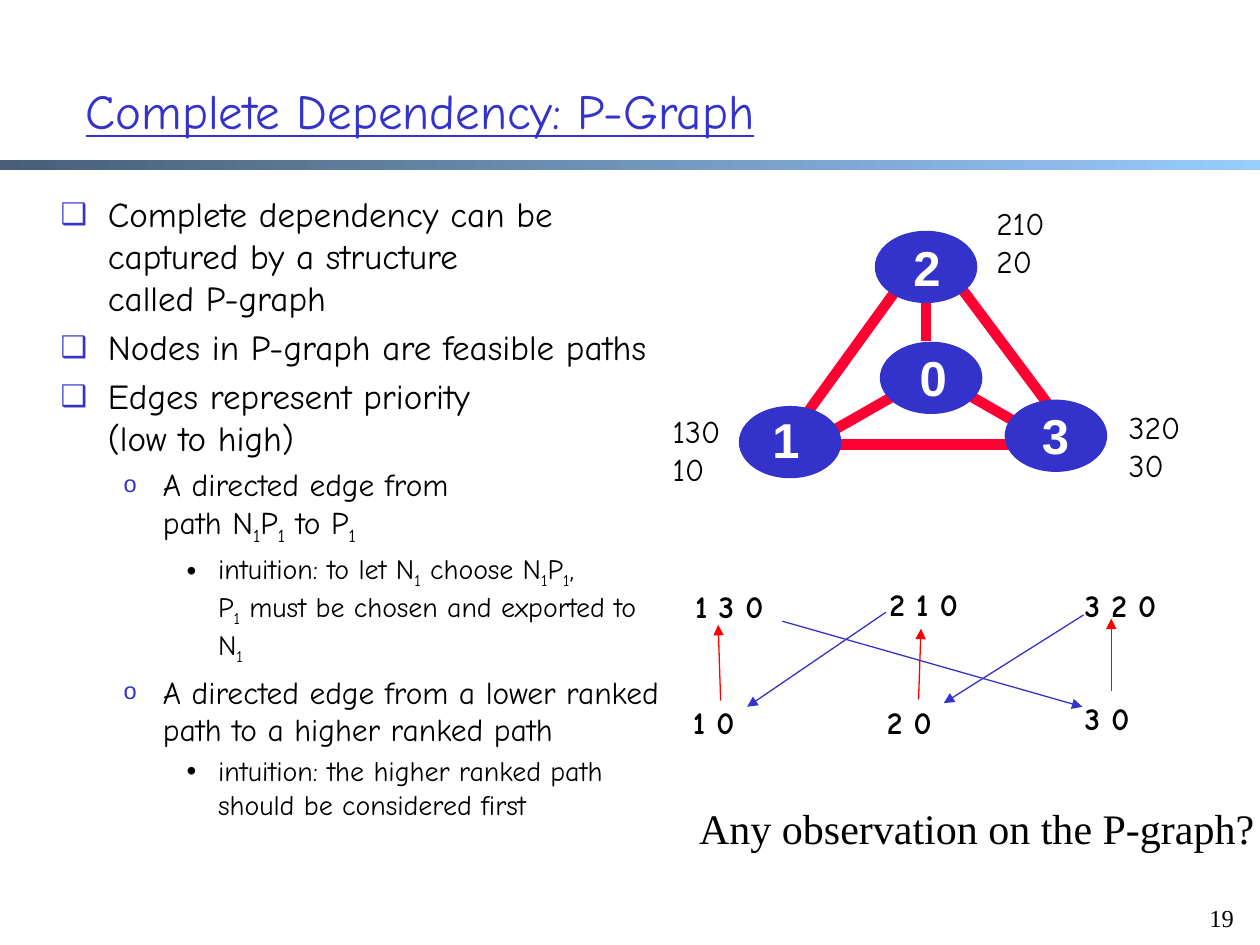
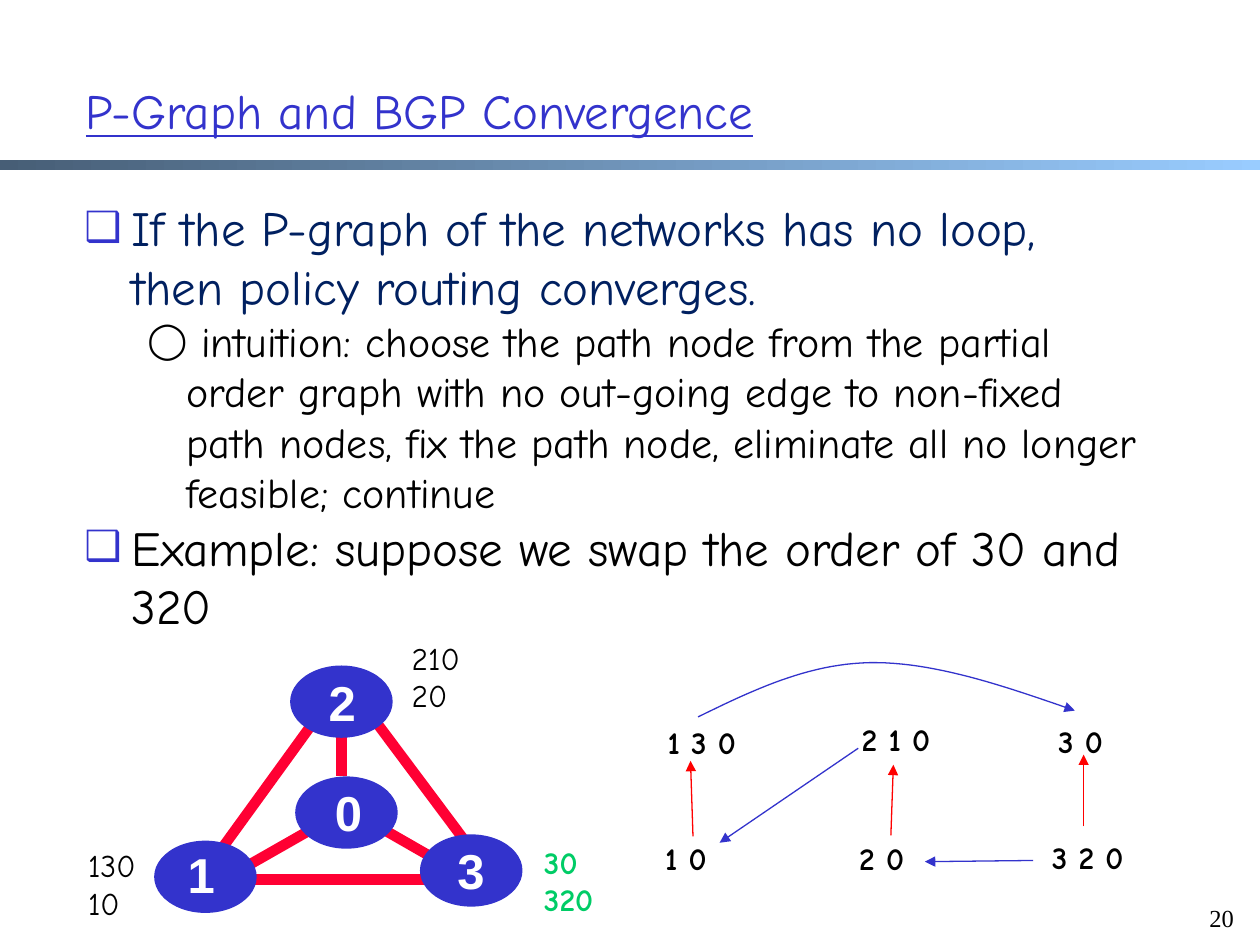
import lxml.etree as etree
import pptx
import pptx.dml.color
import pptx.enum.dml
import pptx.enum.shapes
import pptx.enum.text
import pptx.oxml.ns
import pptx.util

Pt = pptx.util.Pt
qn = pptx.oxml.ns.qn

COLORS = {
    "blue": "3333CC",
    "navy": "002060",
    "black": "000000",
    "white": "FFFFFF",
    "green": "00CC66",
    "arrow_red": "FF0000",
    "link_red": "FF0033",
    "band_start": "475E76",
    "band_end": "99CCFF",
}
HAND, SANS, SERIF = "Comic Neue", "Arial", "Times New Roman"
INDENTS = [(27, -27), (58.5, -22.5), (90, -18)]
SQUARE = ("❑", "blue", 85)
SMALL_O = ("o", "blue", 75)
CIRCLE = ("◯", None, 85)
DOT = ("•", None, 100)

NODE_SIZE = (57.6, 40.3)
NODES = {
    "2": ((123.1, 19.4), (14.4, 0)),
    "0": ((126, 82.8), (15.1, -0.7)),
    "3": ((197.3, 115.9), (13.7, -0.7)),
    "1": ((45.4, 119.5), (11.5, -2.1)),
}
NETWORK_LINKS = [
    ((236.2, 137.5), (162, 38.2)),
    ((145.4, 38.2), (67.7, 145.4)),
    ((151.9, 26.6), (151.9, 82.1)),
    ((149, 104.4), (97.2, 133.9)),
    ((213.1, 133.9), (174.2, 111.6)),
    ((242.6, 141.1), (67.7, 141.1)),
]
PATHS = {"2 1 0": (112.3, 0), "2 0": (110.9, 67.7), "1 0": (0, 67.7), "1 3 0": (1.4, 1.4)}
RANK_ARROWS = [
    ((23, 69.8), (21.6, 26.6)),
    ((136.1, 69.1), (137.5, 28.8)),
    ((246.2, 64.1), (246.2, 23)),
]
SUFFIX_ARROW = ((117.4, 19.4), (38.2, 73.4))


def shifted(origin, point):
    """Move a point by an origin."""
    return origin[0] + point[0], origin[1] + point[1]


def bezier(points, steps=24):
    """List points along a cubic curve, leaving out its start."""
    result = []
    for step in range(1, steps + 1):
        t = step / steps
        weights = ((1 - t) ** 3, 3 * t * (1 - t) ** 2, 3 * t * t * (1 - t), t ** 3)
        result.append(tuple(sum(w * p[axis] for w, p in zip(weights, points)) for axis in (0, 1)))
    return result


class Deck:
    """Holds the presentation style and the current slide."""

    def __init__(self):
        """Open an empty 4:3 presentation."""
        self.presentation = pptx.Presentation()
        self.presentation.slide_width = Pt(720)
        self.presentation.slide_height = Pt(540)
        self.slide = None

    def color(self, name):
        """Look up a named colour."""
        return pptx.dml.color.RGBColor.from_string(COLORS[name])

    def start_slide(self, title, number):
        """Add a slide with its title, band and page number."""
        self.slide = self.presentation.slides.add_slide(self.presentation.slide_layouts[1])
        self.band()
        shape = self.slide.shapes.title
        self.place(shape, (41.8, 18), (632, 90))
        shape.text_frame.vertical_anchor = pptx.enum.text.MSO_ANCHOR.MIDDLE
        paragraph = shape.text_frame.paragraphs[0]
        paragraph.alignment = pptx.enum.text.PP_ALIGN.LEFT
        self.run(paragraph, title, 28, color="blue").underline = True
        self.text([number], (684, 512.6), (36, 36), 14, SERIF, wrap=True)

    def place(self, shape, position, size):
        """Set the box of a placeholder and stop its text from shrinking."""
        shape.left, shape.top = map(Pt, position)
        shape.width, shape.height = map(Pt, size)
        shape.text_frame.auto_size = pptx.enum.text.MSO_AUTO_SIZE.NONE

    def band(self):
        """Draw the gradient band below the title."""
        shape = self.slide.shapes.add_shape(
            pptx.enum.shapes.MSO_SHAPE.RECTANGLE, 0, Pt(91.4), Pt(720), Pt(5.8))
        shape.shadow.inherit = False
        shape.line.fill.background()
        shape.fill.gradient()
        shape.fill.gradient_angle = 0
        for stop, name in zip(shape.fill.gradient_stops, ("band_start", "band_end")):
            stop.color.rgb = self.color(name)

    def run(self, paragraph, text, size, font=HAND, color="black", bold=False):
        """Add one formatted run and return its font."""
        run = paragraph.add_run()
        run.text = text
        run.font.size = Pt(size)
        run.font.name = font
        run.font.bold = bold
        run.font.color.rgb = self.color(color)
        return run.font

    def rich_text(self, paragraph, text, size, color):
        """Add runs with line breaks, and subscripts between underscores."""
        for index, part in enumerate(text.split("_")):
            for row, line in enumerate(part.split("\n")):
                if row:
                    paragraph.add_line_break()
                    line_break = paragraph._p.findall(qn("a:br"))[-1]
                    etree.SubElement(line_break, qn("a:rPr"), sz=str(size * 100))
                if line:
                    self.run(paragraph, line, size, color=color)
                    if index % 2:
                        paragraph.runs[-1]._r.get_or_add_rPr().set("baseline", "-25000")

    def bullet(self, paragraph, level, bullet):
        """Give a paragraph its indents and bullet."""
        character, color, percent = bullet
        properties = paragraph._p.get_or_add_pPr()
        for name, length in zip(("marL", "indent"), INDENTS[level]):
            properties.set(name, str(int(Pt(length))))
        if color:
            fill = etree.SubElement(properties, qn("a:buClr"))
            etree.SubElement(fill, qn("a:srgbClr"), val=COLORS[color])
        etree.SubElement(properties, qn("a:buSzPct"), val=str(percent * 1000))
        etree.SubElement(properties, qn("a:buChar"), char=character)

    def body(self, items, position, size, spacing):
        """Fill the body placeholder with a bulleted list."""
        shape = self.slide.placeholders[1]
        self.place(shape, position, size)
        frame = shape.text_frame
        for index, (level, bullet, font_size, color, text) in enumerate(items):
            paragraph = frame.add_paragraph() if index else frame.paragraphs[0]
            paragraph.level = level
            self.bullet(paragraph, level, bullet)
            paragraph.space_before = Pt(font_size * spacing if index else 0)
            self.rich_text(paragraph, text, font_size, color)

    def text(self, lines, position, size, font_size, font=HAND, color="black", bold=False, wrap=False):
        """Add a text box with one paragraph a line."""
        frame = self.slide.shapes.add_textbox(*map(Pt, position + size)).text_frame
        frame.word_wrap = wrap
        for index, line in enumerate(lines):
            paragraph = frame.add_paragraph() if index else frame.paragraphs[0]
            self.run(paragraph, line, font_size, font, color, bold)

    def stroke(self, shape, color, width, arrow):
        """Set the line of a connector or outline."""
        shape.line.color.rgb = self.color(color)
        shape.line.width = Pt(width)
        if arrow:
            etree.SubElement(shape.line._get_or_add_ln(), qn("a:tailEnd"), type="triangle")

    def line(self, origin, ends, color, width=0.75, arrow=True):
        """Draw a straight line or arrow."""
        start, end = (shifted(origin, point) for point in ends)
        connector = self.slide.shapes.add_connector(
            pptx.enum.shapes.MSO_CONNECTOR.STRAIGHT, *map(Pt, start + end))
        self.stroke(connector, color, width, arrow)
        etree.SubElement(connector._element.spPr, qn("a:effectLst"))

    def curve(self, points, color):
        """Draw an open curved arrow."""
        builder = self.slide.shapes.build_freeform(*map(Pt, points[0]))
        builder.add_line_segments([tuple(map(Pt, point)) for point in points[1:]], close=False)
        shape = builder.convert_to_shape()
        shape.fill.background()
        self.stroke(shape, color, 0.75, True)
        shape.shadow.inherit = False

    def node(self, name, position, label_offset):
        """Draw a numbered network node."""
        shape = self.slide.shapes.add_shape(
            pptx.enum.shapes.MSO_SHAPE.OVAL, *map(Pt, position + NODE_SIZE))
        shape.shadow.inherit = False
        shape.fill.solid()
        shape.fill.fore_color.rgb = self.color("blue")
        self.stroke(shape, "blue", 1, False)
        self.text([name], shifted(position, label_offset), (30.2, 41), 28, SANS, "white", True)

    def network(self, origin, node_3_ranking, **ranking_style):
        """Draw the four-node network with its path rankings."""
        for ends in NETWORK_LINKS:
            self.line(origin, ends, "link_red", 6, arrow=False)
        for name, (position, label_offset) in NODES.items():
            self.node(name, shifted(origin, position), label_offset)
        self.text(["210", "20"], shifted(origin, (185, 0)), (44.6, 50.4), 18)
        self.text(["130", "10"], shifted(origin, (0, 118.8)), (44.6, 50.4), 18)
        self.text(node_3_ranking, shifted(origin, (260.6, 116.6)), (47.5, 50.4), 18, **ranking_style)

    def p_graph(self, origin, node_3_paths, suffix_arrows):
        """Draw the path nodes and priority arrows."""
        for path, position in {**PATHS, **node_3_paths}.items():
            self.text([path], shifted(origin, position), (86.4, 28.8), 18, bold=True, wrap=True)
        for ends in [SUFFIX_ARROW] + suffix_arrows:
            self.line(origin, ends, "blue")
        for ends in RANK_ARROWS:
            self.line(origin, ends, "arrow_red")


def dependency_slide(deck):
    """Build the slide that introduces the P-graph."""
    deck.start_slide("Complete Dependency: P-Graph", "19")
    deck.body([
        (0, SQUARE, 20, "black", "Complete dependency can be captured by a structure\ncalled P-graph"),
        (0, SQUARE, 20, "black", "Nodes in P-graph are feasible paths"),
        (0, SQUARE, 20, "black", "Edges represent priority \n(low to high)"),
        (1, SMALL_O, 18, "black", "A directed edge from \npath N_1_P_1_ to P_1_"),
        (2, DOT, 16, "black",
         "intuition: to let N_1_ choose N_1_P_1_, \nP_1_ must be chosen and exported to N_1_"),
        (1, SMALL_O, 18, "black", "A directed edge from a lower ranked path to a higher ranked path"),
        (2, DOT, 16, "black", "intuition: the higher ranked path should be considered first"),
    ], (27.4, 106.6), (362.9, 382.3), 0.2)
    deck.p_graph(
        (388.8, 330.5),
        {"3 0": (223.9, 65.5), "3 2 0": (223.9, 0.7)},
        [((58.3, 24.5), (229.7, 73.4)), ((230.4, 20.9), (150.5, 71.3))])
    deck.network((377.3, 113), ["320", "30"])
    deck.text(["Any observation on the P-graph?"], (392.4, 455), (339.8, 36), 24, SERIF)


def convergence_slide(deck):
    """Build the slide on convergence without loops."""
    deck.start_slide("P-Graph and BGP Convergence", "20")
    deck.body([
        (0, SQUARE, 28, "navy",
         "If the P-graph of the networks has no loop, then policy routing converges."),
        (1, CIRCLE, 24, "black",
         " intuition: choose the path node from the partial order graph with no out-going edge "
         "to non-fixed path nodes, fix the path node, eliminate all no longer feasible; continue"),
        (0, SQUARE, 28, "black", "Example: suppose we swap the order of 30 and 320"),
    ], (41, 109.4), (620, 382.3), 0)
    deck.p_graph(
        (373, 408.2),
        {"3 0": (224.6, 0.7), "3 2 0": (221, 67)},
        [((217.4, 83.5), (155.5, 84.2))])
    start, top, end = (398.9, 409.7), (496.8, 378.7), (614.2, 406.1)
    rise = bezier([start, (429.8, 394.6), (461.5, 379.4), top])
    fall = bezier([top, (532.8, 378), (573.1, 391.7), end])
    deck.curve([start] + rise + fall, "blue")
    deck.network((43.2, 361.4), ["30", "320"], color="green", bold=True)


def main():
    """Build and save the presentation."""
    deck = Deck()
    dependency_slide(deck)
    convergence_slide(deck)
    deck.presentation.save("out.pptx")


if __name__ == "__main__":
    main()
